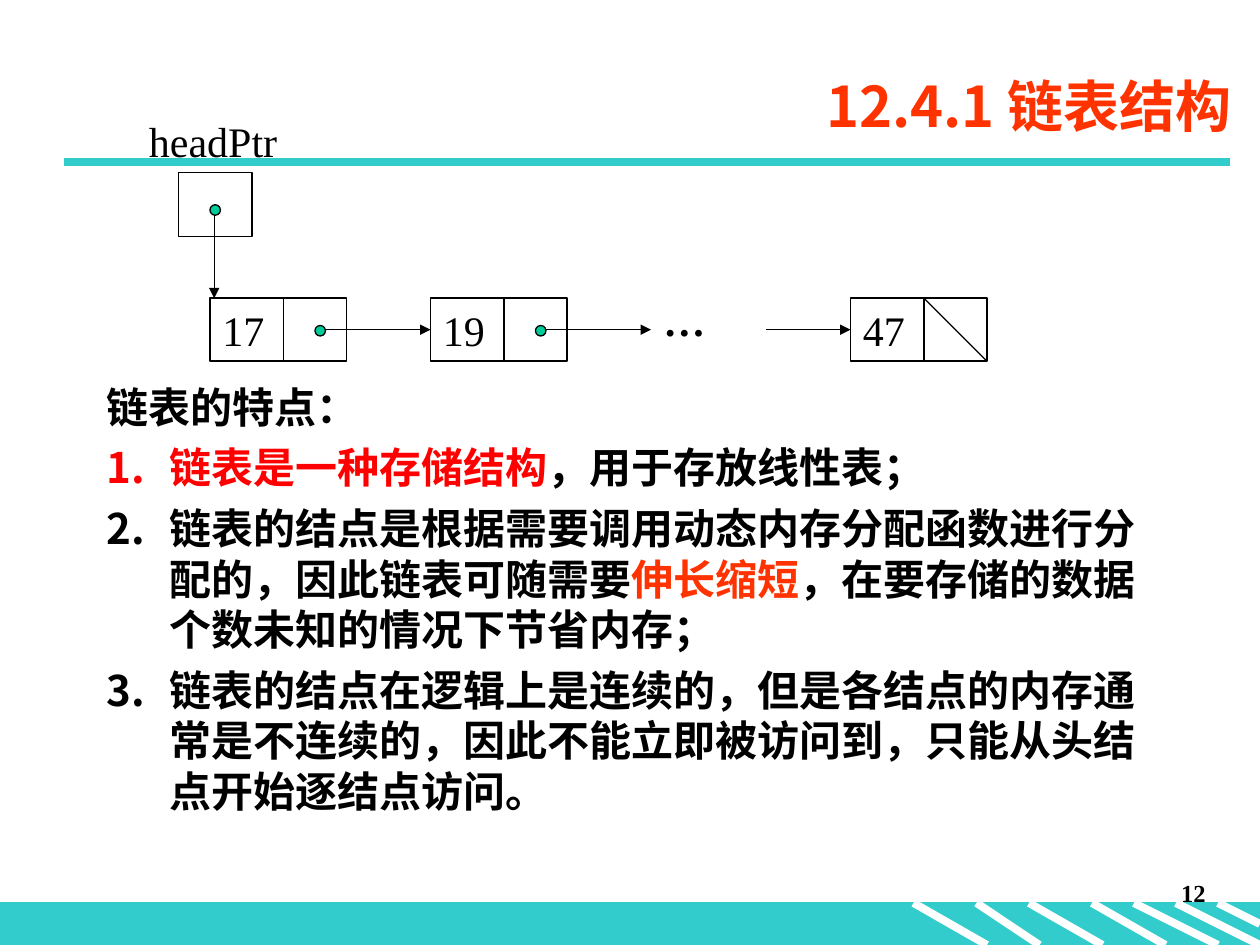
from lxml import etree
from pptx import Presentation
from pptx.dml.color import RGBColor
from pptx.enum.shapes import MSO_CONNECTOR, MSO_SHAPE
from pptx.enum.text import MSO_ANCHOR, PP_ALIGN
from pptx.oxml.ns import qn
from pptx.util import Inches, Pt

BLACK = RGBColor(0x00, 0x00, 0x00)
WHITE = RGBColor(0xFF, 0xFF, 0xFF)
TEAL = RGBColor(0x33, 0xCC, 0xCC)
GREEN = RGBColor(0x00, 0xCC, 0x99)
RED = RGBColor(0xFF, 0x00, 0x00)
ORANGE = RGBColor(0xFF, 0x33, 0x00)
SERIF, SANS, CJK = "Times New Roman", "Arial", "Noto Sans CJK SC"

deck = Presentation()
deck.slide_width, deck.slide_height = Inches(10), Inches(7.5)
page = deck.slides.add_slide(deck.slide_layouts[6])
shapes = page.shapes
UNIT = deck.slide_width / 120  # grid of 120 columns by 90 rows


def draw_line(x1, y1, x2, y2, color=BLACK, width=0.75, arrow=False):
    """Add a straight line between two grid points, with an optional arrowhead."""
    ends = [round(value * UNIT) for value in (x1, y1, x2, y2)]
    line = shapes.add_connector(MSO_CONNECTOR.STRAIGHT, *ends)
    line.line.color.rgb = color
    line.line.width = Pt(width)
    if arrow:
        etree.SubElement(line.line._get_or_add_ln(), qn("a:tailEnd"), type="triangle")
    etree.SubElement(line._element.spPr, qn("a:effectLst"))
    return line


def add_span(para, text, size, font, color=BLACK, bold=False):
    span = para.add_run()
    span.text = text
    span.font.size, span.font.name, span.font.bold = Pt(size), font, bold
    span.font.color.rgb = color
    if font != SERIF:
        etree.SubElement(span._r.get_or_add_rPr(), qn("a:ea"), typeface=CJK)


# Footer band with its slanted stripes, and the rule under the title
BAND = 86
band = shapes.add_shape(MSO_SHAPE.RECTANGLE, 0, round(BAND * UNIT),
                        deck.slide_width, round(4 * UNIT))
band.shadow.inherit = False
band.fill.solid()
band.fill.fore_color.rgb = band.line.color.rgb = TEAL
band.line.width = Pt(0.75)
for start, end, bottom in [(93, 99, 90), (87, 94, 90), (98, 105, 90), (112, 120, 90),
                           (108, 116, 90), (116, 120, 88), (104, 111, 90)]:
    draw_line(start, BAND, end, bottom, WHITE, 4.5)
draw_line(6.1, 15.45, 117.1, 15.45, TEAL, 4.5)

# Short texts: column, row, columns, rows, text, size, font, colour, bold, align, anchor
NODE_TOP, NODE_WIDTH, NODE_HEIGHT, CELL = 28.4, 13, 6, 7
for x, y, w, h, text, size, font, color, bold, align, anchor in [
    (91, 83, 25, 6, "12", 14, SERIF, BLACK, True, PP_ALIGN.RIGHT, MSO_ANCHOR.TOP),
    (16.5, 5.3, 102, 9.5, "12.4.1 链表结构", 32, CJK, ORANGE, True,
     PP_ALIGN.RIGHT, MSO_ANCHOR.MIDDLE),
    (13, 10.4, 16, 6, "headPtr", 24, SERIF, BLACK, False, PP_ALIGN.LEFT, MSO_ANCHOR.TOP),
    (62, 27.5, 9, 6, "…", 24, SERIF, BLACK, True, PP_ALIGN.LEFT, MSO_ANCHOR.TOP),
]:
    box = shapes.add_textbox(*[round(value * UNIT) for value in (x, y, w, h)])
    box.text_frame.word_wrap = True
    box.text_frame.vertical_anchor = anchor
    para = box.text_frame.paragraphs[0]
    para.alignment = align
    add_span(para, text, size, font, color, bold)

# Head pointer box and list nodes
boxes = {}
for name, x, y, w, h in [("head", 17, 16.4, CELL, 6.1),
                         ("17", 20, NODE_TOP, NODE_WIDTH, NODE_HEIGHT),
                         ("19", 41, NODE_TOP, NODE_WIDTH, NODE_HEIGHT),
                         ("47", 81, NODE_TOP, NODE_WIDTH, NODE_HEIGHT)]:
    box = shapes.add_shape(MSO_SHAPE.RECTANGLE,
                           *[round(value * UNIT) for value in (x, y, w, h)])
    box.shadow.inherit = False
    box.fill.background()
    box.line.color.rgb = BLACK
    box.line.width = Pt(0.75)
    boxes[name] = box
    if name != "head":
        box.text_frame.vertical_anchor = MSO_ANCHOR.TOP
        para = box.text_frame.paragraphs[0]
        para.alignment = PP_ALIGN.LEFT
        add_span(para, name, 24, SERIF)
        draw_line(x + CELL, y, x + CELL, y + h)
draw_line(81 + CELL, NODE_TOP, 81 + NODE_WIDTH, NODE_TOP + NODE_HEIGHT)

# Pointers
middle = NODE_TOP + NODE_HEIGHT / 2
for start, end, target in [(31, 41, "19"), (52, 62, None), (73, 81, "47")]:
    pointer = draw_line(start, middle, end, middle, arrow=True)
    if target:
        pointer.end_connect(boxes[target], 1)
draw_line(20.4, 20.5, 20.4, NODE_TOP, arrow=True)
for x, y in [(20, 19.5), (30, 31), (51, 31)]:
    dot = shapes.add_shape(MSO_SHAPE.OVAL, round(x * UNIT), round(y * UNIT),
                           round(UNIT), round(UNIT))
    dot.shadow.inherit = False
    dot.fill.solid()
    dot.fill.fore_color.rgb = GREEN
    dot.line.color.rgb = BLACK
    dot.line.width = Pt(0.75)

# Features of a linked list: a heading and three numbered points
features = [
    [("链表的特点：", SANS, BLACK)],
    [("链表是一种存储结构", CJK, RED), ("，用于存放线性表；", SANS, BLACK)],
    [("链表的结点是根据需要调用动态内存分配函数进行分配的，因此链表可随需要", SANS, BLACK),
     ("伸长缩短", SANS, ORANGE),
     ("，在要存储的数据个数未知的情况下节省内存；", SANS, BLACK)],
    [("链表的结点在逻辑上是连续的，但是各结点的内存通常是不连续的，"
      "因此不能立即被访问到，只能从头结点开始逐结点访问。", SANS, BLACK)],
]
body = shapes.add_textbox(*[round(value * UNIT) for value in (9, 35.7, 102, 44.4)])
frame = body.text_frame
frame.word_wrap = True
for index, spans in enumerate(features):
    para = frame.add_paragraph() if index else frame.paragraphs[0]
    para.space_before = Pt(6)
    para.line_spacing = Pt(28.8)
    props = para._p.get_or_add_pPr()
    props.set("marL", str(Inches(0.5)))
    props.set("indent", str(-Inches(0.5)))
    if index:
        bullet_color = etree.SubElement(props, qn("a:buClr"))
        etree.SubElement(bullet_color, qn("a:srgbClr"), val=str(spans[0][2]))
        etree.SubElement(props, qn("a:buFont"), typeface=CJK)
        etree.SubElement(props, qn("a:buAutoNum"), type="arabicPeriod")
    for text, font, color in spans:
        add_span(para, text, 24, font, color, True)

deck.save("out.pptx")
